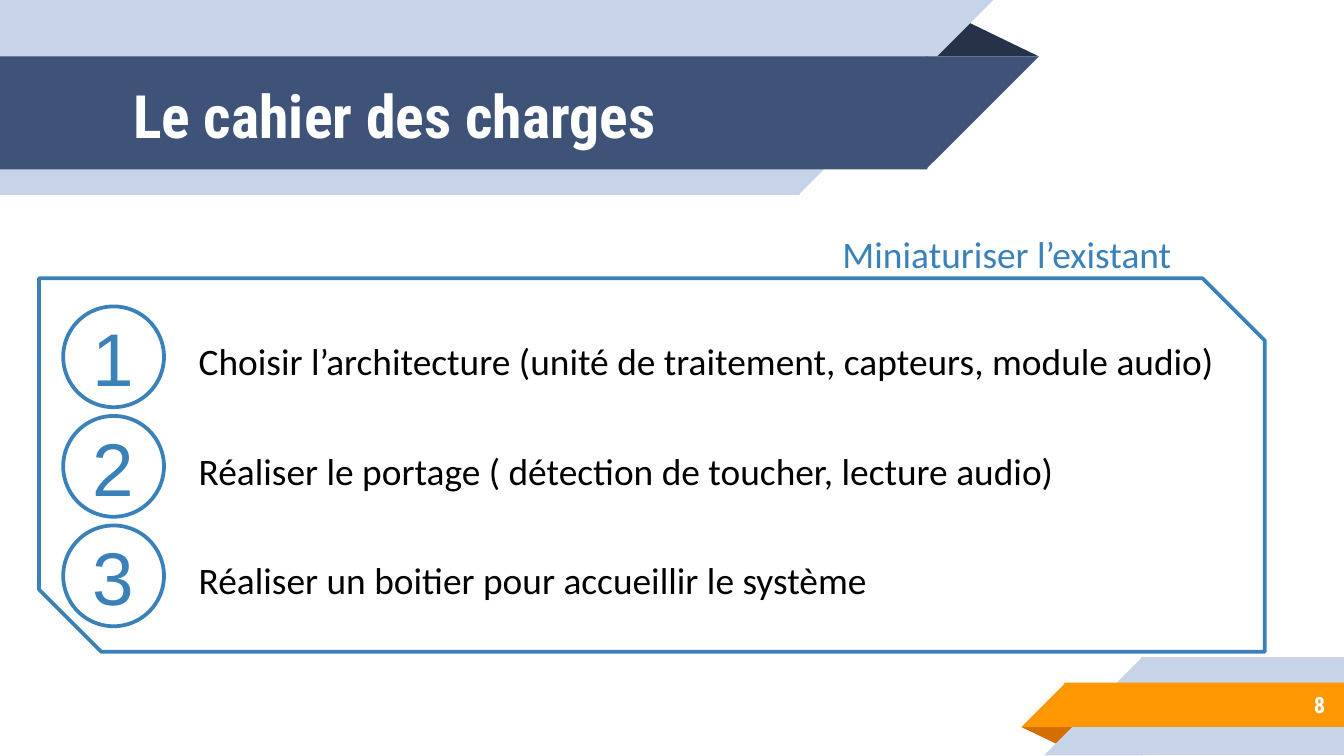
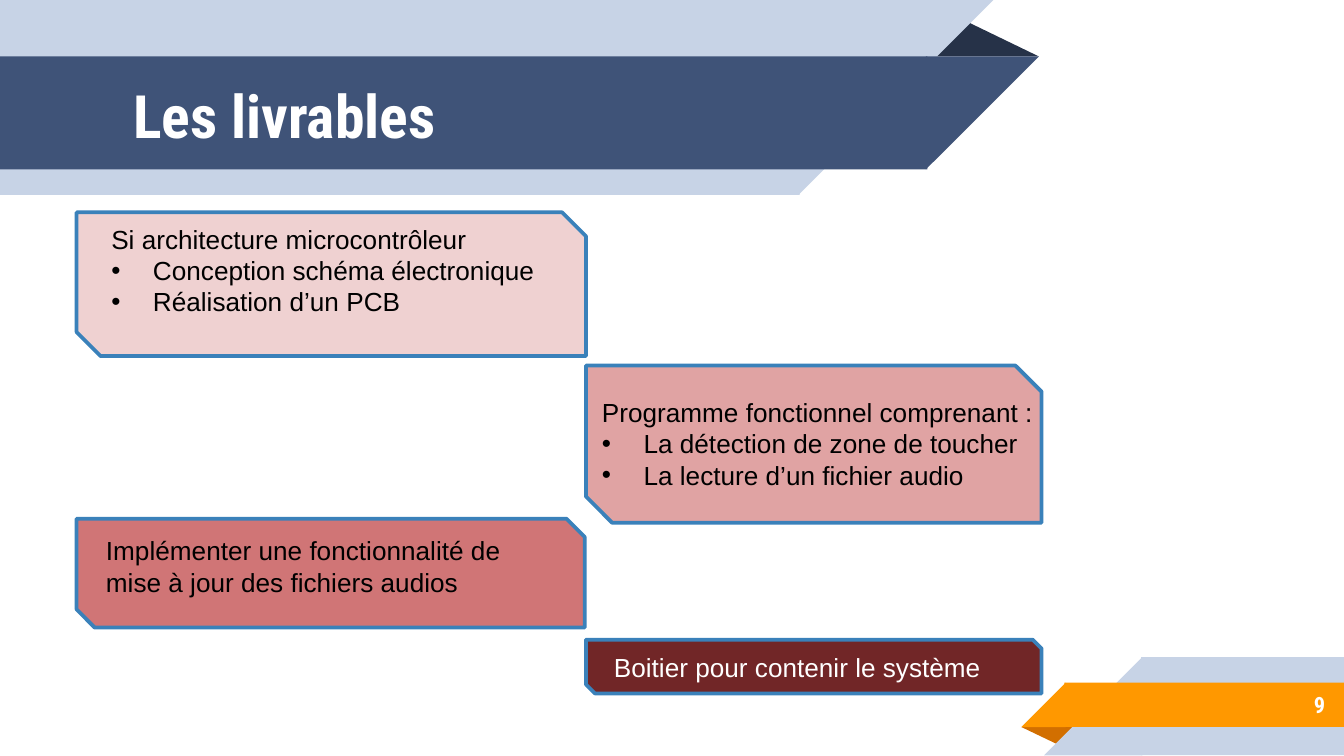
from lxml import etree
from pptx import Presentation
from pptx.dml.color import RGBColor
from pptx.enum.shapes import MSO_SHAPE as Preset
from pptx.enum.text import MSO_ANCHOR as Anchor, MSO_AUTO_SIZE as AutoSize, PP_ALIGN as Align
from pptx.oxml.ns import qn
from pptx.util import Inches, Pt

COLORS = {
    "white": "FFFFFF", "black": "000000", "pale": "C7D3E6", "navy": "3F5378",
    "navy_fold": "263248", "orange": "FF9800", "orange_fold": "D26F00",
    "blue": "3A81BA", "red_1": "EFD1D1", "red_2": "E0A3A3", "red_3": "D07576",
    "red_4": "712627",
}
HEADING_FONT = "Roboto Condensed"
FIRST_PAGE = 8
OVERLAP = 0.01  # hides the seam between a band and its slanted end


def rgb(name):
    return RGBColor.from_string(COLORS[name])


class SlideBuilder:
    """Holds the deck style and the slide being filled."""

    def __init__(self, deck):
        self.deck = deck
        self.slide = None

    def start(self, title):
        self.slide = self.deck.slides.add_slide(self.deck.slide_layouts[5])
        self.header_band()
        self.footer_band()
        self.title(title)
        number = FIRST_PAGE + len(self.deck.slides) - 1
        self.text(8.33, 5.07, 1.63, 0.35, [str(number)], size=12, font=HEADING_FONT,
                  color="white", bold=True, align=Align.RIGHT, anchor=Anchor.MIDDLE,
                  inset=0.1, grow=False)

    def shape(self, preset, left, top, width, height, fill=None, line=None,
              turned=False, mirrored=False):
        shape = self.slide.shapes.add_shape(
            preset, Inches(left), Inches(top), Inches(width), Inches(height))
        shape.shadow.inherit = False
        if fill:
            shape.fill.solid()
            shape.fill.fore_color.rgb = rgb(fill)
        else:
            shape.fill.background()
        if line:
            shape.line.color.rgb = rgb(line)
            shape.line.width = Pt(2)
        else:
            shape.line.fill.background()
        if turned:
            shape.rotation = 180
        if mirrored:
            shape._element.spPr.find(qn("a:xfrm")).set("flipH", "1")
        return shape

    def fold(self, left, top, width, height, fill, turned=False):
        shape = self.shape(Preset.ISOSCELES_TRIANGLE, left, top, width, height, fill,
                           turned=turned)
        shape.adjustments[0] = 0.32

    def header_band(self):
        """Two bands from the left edge, each ending in a 45-degree slant."""
        self.fold(6.88, 0.14, 0.85, 0.28, "navy_fold")
        for top, length, height, fill in ((0, 5.94, 1.45, "pale"), (0.42, 6.89, 0.84, "navy")):
            self.shape(Preset.RECTANGLE, 0, top, length + OVERLAP, height, fill,
                       turned=True, mirrored=True)
            self.shape(Preset.RIGHT_TRIANGLE, length, top, height, height, fill,
                       turned=True, mirrored=True)

    def footer_band(self):
        """Two bands to the right edge, each starting with a 45-degree slant."""
        self.fold(7.6, 5.41, 0.43, 0.14, "orange_fold", turned=True)
        for left, top, height, fill in ((8.5, 4.89, 0.73, "pale"), (7.93, 5.08, 0.33, "orange")):
            self.shape(Preset.RECTANGLE, left - OVERLAP, top, 10 - left + OVERLAP, height,
                       fill, mirrored=True)
            self.shape(Preset.RIGHT_TRIANGLE, left - height, top, height, height, fill,
                       mirrored=True)

    def title(self, words):
        title = self.slide.shapes.title
        title.left, title.top = Inches(0.89), Inches(0.43)
        title.width, title.height = Inches(6.01), Inches(0.84)
        self.slide.shapes._spTree.append(title._element)  # in front of the band
        frame = title.text_frame
        frame.auto_size = AutoSize.NONE
        frame.vertical_anchor = Anchor.MIDDLE
        self.inset(frame, 0.1)
        para = frame.paragraphs[0]
        para.alignment = Align.LEFT
        self.span(para, words, 32, HEADING_FONT, "white", True)

    def inset(self, frame, gap):
        frame.margin_left = frame.margin_right = Inches(gap)
        frame.margin_top = frame.margin_bottom = Inches(gap)

    def span(self, para, words, size, font, color, bold=False):
        span = para.add_run()
        span.text = words
        span.font.size = Pt(size)
        span.font.name = font
        span.font.bold = bold
        span.font.color.rgb = rgb(color)

    def bullet(self, para, color):
        props = para._p.get_or_add_pPr()
        props.set("marL", str(Inches(0.31)))
        props.set("indent", str(-Inches(0.31)))
        tint = etree.SubElement(props, qn("a:buClr"))
        etree.SubElement(tint, qn("a:srgbClr"), val=COLORS[color])
        etree.SubElement(props, qn("a:buFont"), typeface="Arial")
        etree.SubElement(props, qn("a:buChar"), char="•")

    def text(self, left, top, width, height, lines, size=14, font="Arial", color="black",
             bold=False, align=Align.LEFT, anchor=Anchor.TOP, inset=None, grow=True,
             wrap=True, spaced=False):
        """Add a text box; every line after the first is a bullet."""
        box = self.slide.shapes.add_textbox(
            Inches(left), Inches(top), Inches(width), Inches(height))
        frame = box.text_frame
        frame.word_wrap = wrap
        frame.auto_size = AutoSize.SHAPE_TO_FIT_TEXT if grow else AutoSize.NONE
        frame.vertical_anchor = anchor
        if inset is not None:
            self.inset(frame, inset)
        for index, words in enumerate(lines):
            para = frame.add_paragraph() if index else frame.paragraphs[0]
            para.alignment = align
            if spaced:
                para.line_spacing = 1.15
                para.space_before = Pt(5)
            if index:
                self.bullet(para, color)
            self.span(para, words, size, font, color, bold)

    def label(self, left, top, width, words, color="black", wrap=True):
        self.text(left, top, width, 0.47, [words], size=20, font="Calibri", color=color,
                  wrap=wrap, spaced=True)

    def numbered_step(self, number, top, words, width):
        circle = self.shape(Preset.OVAL, 0.47, top, 0.75, 0.75, line="blue")
        frame = circle.text_frame
        frame.vertical_anchor = Anchor.MIDDLE
        para = frame.paragraphs[0]
        para.alignment = Align.CENTER
        self.span(para, str(number), 40, "Arial", "blue")
        self.label(1.38, top + 0.14, width, words)

    def snipped_box(self, left, top, width, height, fill=None):
        self.shape(Preset.SNIP_2_DIAG_RECTANGLE, left, top, width, height, fill, "blue")


def requirements(page):
    page.start("Le cahier des charges")
    steps = (
        ("Choisir l’architecture (unité de traitement, capteurs, module audio)", 8.4),
        ("Réaliser le portage ( détection de toucher, lecture audio)", 7.5),
        ("Réaliser un boitier pour accueillir le système", 7.5),
    )
    first_top, last_top = 2.28, 3.91
    pitch = (last_top - first_top) / (len(steps) - 1)
    for index, (words, width) in enumerate(steps):
        page.numbered_step(index + 1, first_top + index * pitch, words, width)
    page.label(6.17, 1.62, 2.71, "Miniaturiser l’existant", "blue", wrap=False)
    page.snipped_box(0.29, 2.07, 9.12, 2.78)


def deliverables(page):
    page.start("Les livrables")
    # Each item: box place, box fill, text place, text colour, lines
    items = (
        ((0.57, 1.58, 3.79, 1.07), "red_1", (0.73, 1.61, 3.44, 0.81), "black",
         ("Si architecture microcontrôleur", "Conception schéma électronique",
          "Réalisation d’un PCB")),
        ((4.36, 2.72, 3.39, 1.17), "red_2", (4.38, 2.9, 3.45, 0.81), "black",
         ("Programme fonctionnel comprenant :", "La détection de zone de toucher",
          "La lecture d’un fichier audio")),
        ((0.57, 3.86, 3.78, 0.81), "red_3", (0.69, 3.93, 3.43, 0.43), "black",
         ("Implémenter une fonctionnalité de mise à jour des fichiers audios",)),
        ((4.36, 4.76, 3.39, 0.4), "red_4", (4.47, 4.8, 3.07, 0.34), "white",
         ("Boitier pour contenir le système",)),
    )
    for box_place, fill, text_place, color, lines in items:
        page.snipped_box(*box_place, fill)
        page.text(*text_place, lines, color=color)


def main():
    deck = Presentation()
    deck.slide_width = Inches(10)
    deck.slide_height = deck.slide_width * 9 // 16
    page = SlideBuilder(deck)
    requirements(page)
    deliverables(page)
    deck.save("out.pptx")


if __name__ == "__main__":
    main()
